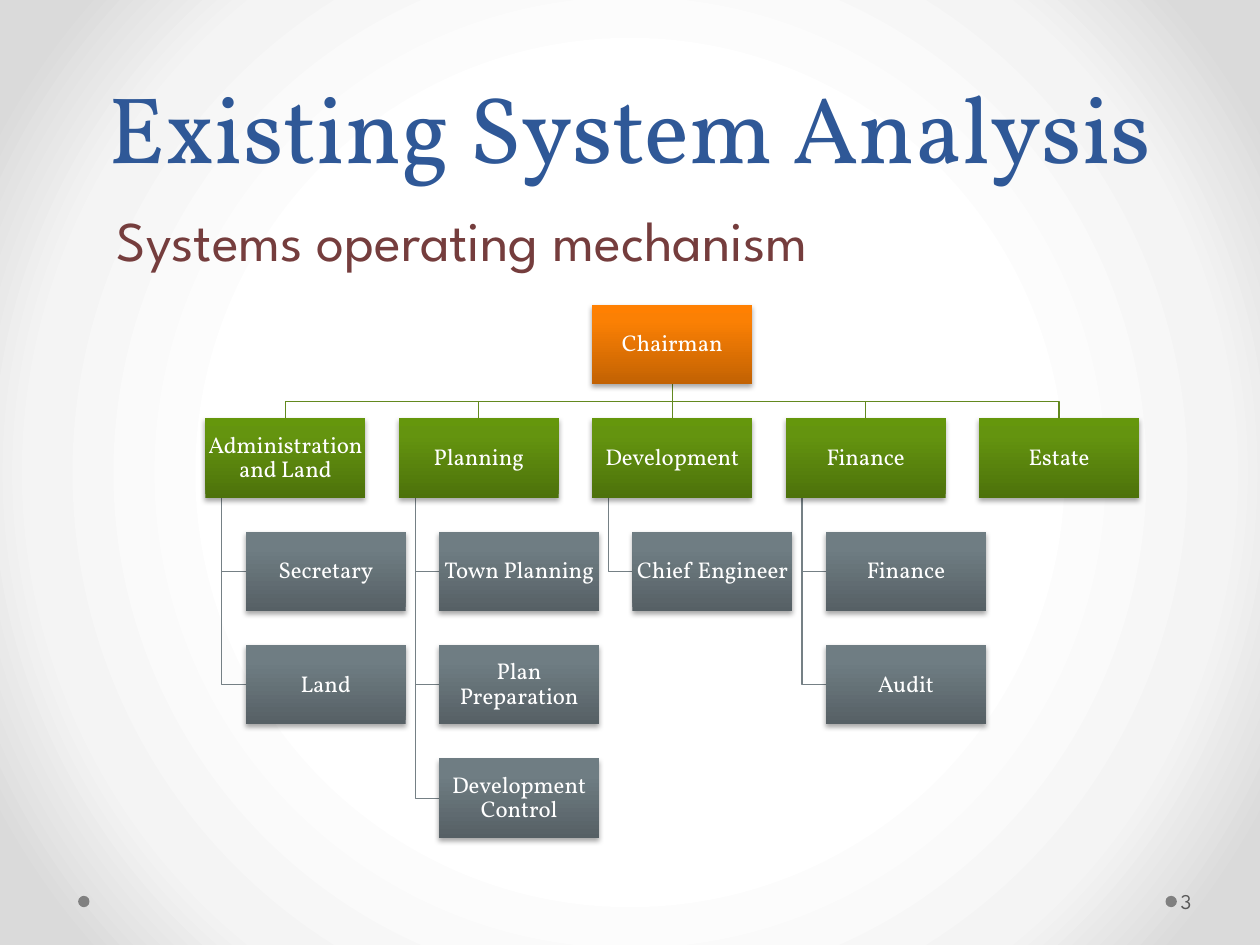
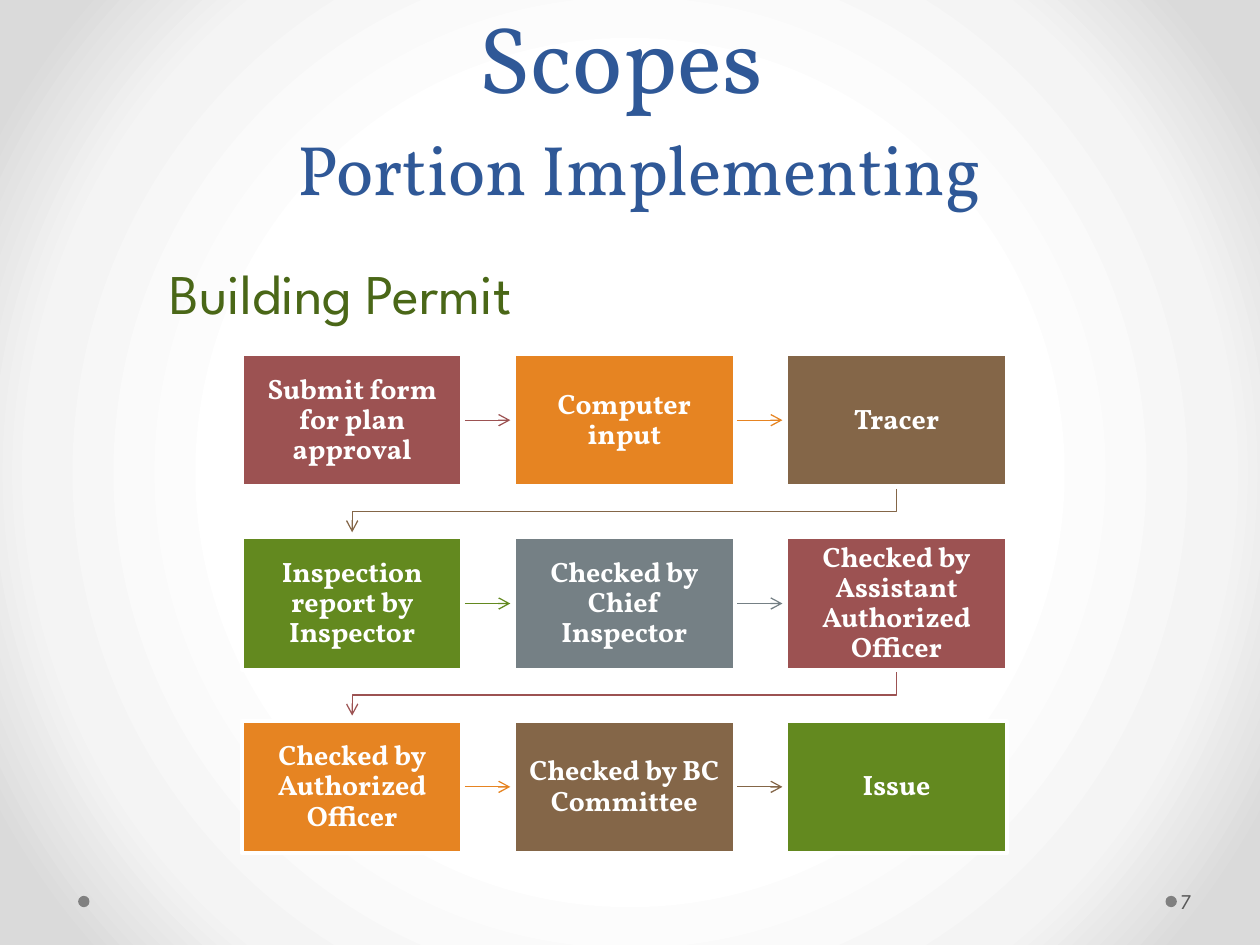
import lxml.etree
import pptx
import pptx.dml.color
import pptx.enum.shapes
import pptx.enum.text
import pptx.oxml.ns
import pptx.util

Inches = pptx.util.Inches
Pt = pptx.util.Pt
qn = pptx.oxml.ns.qn
ALIGN = pptx.enum.text.PP_ALIGN
ANCHOR = pptx.enum.text.MSO_ANCHOR
SHAPES = pptx.enum.shapes.MSO_SHAPE

SERIF, SANS = "Vollkorn", "League Spartan"
COLORS = {
    "title": "2F5897", "maroon": "753D3D", "olive": "4A6717", "white": "FFFFFF",
    "dot": "808080", "number": "595959", "red": "9C5252", "orange": "E68422",
    "brown": "846648", "green": "63891F", "slate": "758085", "black": "000000",
}
BACKDROP = [(50, "FFFFFF"), (76, "F4F4F4"), (92, "DADADA")]
GRADIENTS = {
    "orange": [(0, "C26203"), (80, "FB8004"), (100, "FF8002")],
    "green": [(0, "4D720B"), (80, "64940F"), (100, "65970C")],
    "slate": [(0, "566065"), (80, "6F7D83"), (100, "6F7E84")],
}
DEPARTMENTS = [
    ("Administration and Land", ["Secretary", "Land"]),
    ("Planning", ["Town Planning", "Plan Preparation", "Development Control"]),
    ("Development", ["Chief Engineer"]),
    ("Finance", ["Finance", "Audit"]),
    ("Estate", []),
]
STEPS = [
    ("Submit form for plan approval", "red"),
    ("Computer input", "orange"),
    ("Tracer", "brown"),
    ("Inspection report by Inspector", "green"),
    ("Checked by Chief Inspector", "slate"),
    ("Checked by Assistant Authorized Officer", "red"),
    ("Checked by Authorized Officer", "orange"),
    ("Checked by BC Committee", "brown"),
    ("Issue", "green"),
]


def rgb(name):
    """Return the named colour."""
    return pptx.dml.color.RGBColor.from_string(COLORS[name])


def add_element(parent, tag, **attributes):
    """Append a drawing element and return it."""
    return lxml.etree.SubElement(parent, qn(tag), **attributes)


def replace_with_gradient(fill, stops, circular=False):
    """Swap a fill element for a circular or upward gradient."""
    gradient = lxml.etree.Element(qn("a:gradFill"), rotWithShape="1")
    stop_list = add_element(gradient, "a:gsLst")
    for position, color in stops:
        stop = add_element(stop_list, "a:gs", pos=str(position * 1000))
        add_element(stop, "a:srgbClr", val=color)
    if circular:
        shade = add_element(gradient, "a:path", path="circle")
        add_element(shade, "a:fillToRect", l="50000", t="50000", r="50000", b="50000")
    else:
        add_element(gradient, "a:lin", ang="16200000", scaled="0")
    fill.getparent().replace(fill, gradient)


def add_span(para, text, size, color, font=SERIF, bold=False):
    """Add one styled run to a paragraph."""
    span = para.add_run()
    span.text = text
    span.font.size = Pt(size)
    span.font.name = font
    span.font.bold = bold
    span.font.color.rgb = rgb(color)


def prepare_frame(shape, anchor, margins):
    """Set up a wrapping text frame and return its first paragraph."""
    frame = shape.text_frame
    frame.word_wrap = True
    frame.vertical_anchor = anchor
    frame.margin_left, frame.margin_top, frame.margin_right, frame.margin_bottom = map(Inches, margins)
    return frame.paragraphs[0]


def add_text_box(page, box, anchor=ANCHOR.TOP, margins=(0.1, 0.05, 0.1, 0.05)):
    """Add a text box and return its first paragraph."""
    return prepare_frame(page.shapes.add_textbox(*map(Inches, box)), anchor, margins)


def add_card(page, box, text, size, inset, bold=False):
    """Add a rectangle with a centred label."""
    card = page.shapes.add_shape(SHAPES.RECTANGLE, *map(Inches, box))
    card.shadow.inherit = False
    para = prepare_frame(card, ANCHOR.MIDDLE, [inset] * 4)
    para.alignment = ALIGN.CENTER
    para.line_spacing = 0.9
    add_span(para, text, size, "white", bold=bold)
    return card


def add_route(page, points, color, arrow=False):
    """Draw a straight or bent line through the points."""
    corners = [(Inches(x), Inches(y)) for x, y in points]
    if len(corners) == 2:
        kind = pptx.enum.shapes.MSO_CONNECTOR.STRAIGHT
        route = page.shapes.add_connector(kind, *corners[0], *corners[1])
    else:
        builder = page.shapes.build_freeform(*corners[0])
        builder.add_line_segments(corners[1:], close=False)
        route = builder.convert_to_shape()
        route.fill.background()
    route.line.color.rgb = rgb(color)
    route.line.width = Pt(0.75)
    properties = route.element.spPr
    add_element(properties, "a:effectLst")
    if arrow:
        add_element(properties.find(qn("a:ln")), "a:tailEnd", type="arrow")


def add_page(deck, number):
    """Add a page with the shared backdrop, dots and number."""
    page = deck.slides.add_slide(deck.slide_layouts[6])
    page.background.fill.solid()
    replace_with_gradient(next(page.element.iter(qn("a:solidFill"))), BACKDROP, circular=True)
    for left in (9.25, 0.62):
        dot = page.shapes.add_shape(SHAPES.OVAL, *map(Inches, (left, 7.11, 0.09, 0.09)))
        dot.shadow.inherit = False
        dot.fill.solid()
        dot.fill.fore_color.rgb = rgb("dot")
        dot.line.fill.background()
    para = add_text_box(page, (9.34, 6.95, 0.61, 0.4), ANCHOR.MIDDLE, (0.03, 0.05, 0.05, 0.05))
    add_span(para, number, 12, "number", SANS)
    return page


def add_title(page, box, text):
    """Add the large centred title and return its paragraph."""
    para = add_text_box(page, box, ANCHOR.BOTTOM)
    para.alignment = ALIGN.CENTER
    para.line_spacing = Pt(58)
    add_span(para, text, 54, "title")
    return para


def add_subtitle(page, box, text, color):
    """Add the heading above a diagram."""
    add_span(add_text_box(page, box), text, 32, color, SANS)


def add_tree_card(page, left, top, size, text, color):
    """Add one shaded card of the organisation tree."""
    card = add_card(page, (left, top, *size), text, 13, 0.01)
    card.line.fill.background()
    card.fill.background()
    properties = card.element.spPr
    replace_with_gradient(properties.find(qn("a:noFill")), GRADIENTS[color])
    shadow = add_element(
        properties.find(qn("a:effectLst")), "a:outerShdw",
        blurRad=str(Pt(3.1)), dist=str(Pt(1.8)), dir="5400000", rotWithShape="0")
    shade = add_element(shadow, "a:srgbClr", val=COLORS["black"])
    add_element(shade, "a:alpha", val="35000")


def add_tree(page, box, head, departments):
    """Draw the head, the departments and their sections in a box."""
    left, top, width, height = box
    size = card_width, card_height = 1.27, 0.63
    column_step = (width - card_width) / (len(departments) - 1)
    row_step = (height - card_height) / 4
    center = left + width / 2
    department_top = top + row_step
    bus = (top + card_height + department_top) / 2
    cards = [(center - card_width / 2, top, size, head, "orange")]
    for column, (department, sections) in enumerate(departments):
        x = left + column * column_step
        middle = x + card_width / 2
        points = [(center, top + card_height), (center, bus), (middle, bus), (middle, department_top)]
        if column == len(departments) // 2:
            points = [points[0], points[-1]]
        add_route(page, points, "green")
        cards.append((x, department_top, size, department, "green"))
        trunk, section_left = x + 0.13, x + 0.32
        for row, section in enumerate(sections, 1):
            y = department_top + row * row_step
            branch = y + card_height / 2
            start = (trunk, department_top + card_height)
            add_route(page, [start, (trunk, branch), (section_left, branch)], "slate")
            cards.append((section_left, y, size, section, "slate"))
    for card in cards:
        add_tree_card(page, *card)


def add_flow(page, box, steps, columns=3):
    """Draw the steps row by row in a box, each with an arrow to the next."""
    left, top, width, height = box
    card_width, card_height = 1.75, 1.05
    column_step = (width - card_width) / (columns - 1)
    row_step = (height - card_height) / (len(steps) // columns - 1)
    for index, (text, color) in enumerate(steps):
        row, column = divmod(index, columns)
        x, y = left + column * column_step, top + row * row_step
        middle, bottom = x + card_width / 2, y + card_height
        if column < columns - 1:
            level = y + card_height / 2
            points = [(x + card_width + 0.02, level), (x + column_step - 0.03, level)]
        else:
            first = left + card_width / 2
            bend = (bottom + y + row_step) / 2
            points = [(middle, bottom + 0.02), (middle, bend), (first, bend), (first, y + row_step - 0.04)]
        if index < len(steps) - 1:
            add_route(page, points, color, arrow=True)
        card = add_card(page, (x, y, card_width, card_height), text, 16, 0.12, bold=True)
        card.fill.solid()
        card.fill.fore_color.rgb = rgb(color)
        card.line.color.rgb = rgb("white")
        card.line.width = Pt(2.25)


def build_analysis(deck):
    """Build the page with the organisation tree."""
    page = add_page(deck, "3")
    add_title(page, (0.5, 0.25, 9, 1.25), "Existing System Analysis")
    add_subtitle(page, (0.83, 1.58, 9, 0.64), "Systems operating mechanism", "maroon")
    add_tree(page, (1.63, 2.42, 7.41, 4.23), "Chairman", DEPARTMENTS)


def build_scopes(deck):
    """Build the page with the permit flow."""
    page = add_page(deck, "7")
    para = add_title(page, (0.5, 0, 9, 1.75), "Scopes ")
    para.add_line_break()
    add_span(para, " ", 54, "title")
    add_span(para, "Portion Implementing", 40, "title")
    add_subtitle(page, (1.25, 2, 3.36, 0.64), "Building Permit", "olive")
    add_flow(page, (1.92, 2.81, 6.07, 3.96), STEPS)


def main():
    """Build and save the deck."""
    deck = pptx.Presentation()
    deck.slide_width, deck.slide_height = Inches(10), Inches(7.5)
    build_analysis(deck)
    build_scopes(deck)
    deck.save("out.pptx")


main()
